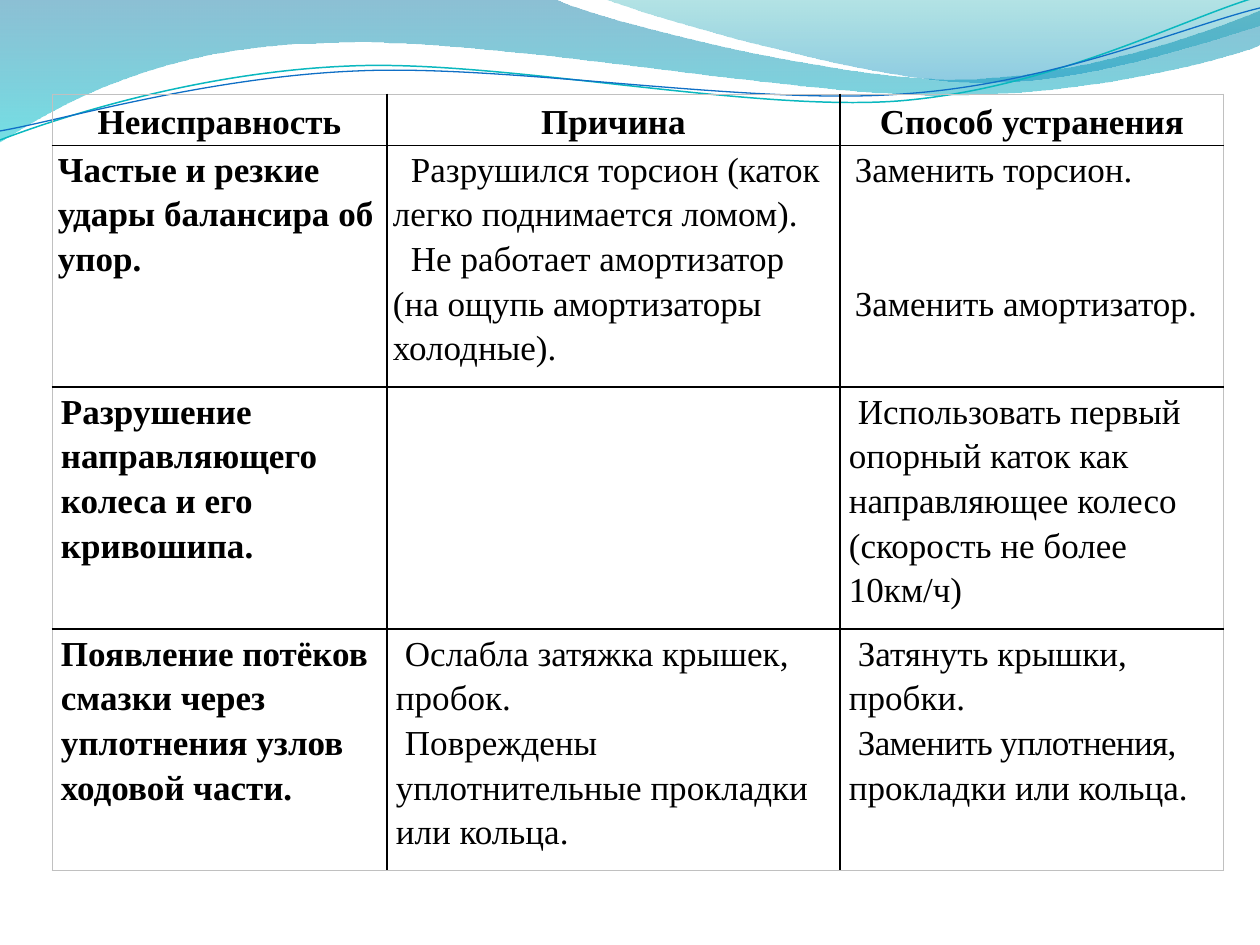
from dataclasses import dataclass
from typing import Any

import pptx
import pptx.dml.color
import pptx.enum.text
import pptx.oxml
import pptx.oxml.ns
import pptx.util
from lxml import etree

SCALE = 914400 / 126
FONT = "Times New Roman"
BLACK, GRAY = "000000", "C0C0C0"
THIN, NORMAL = pptx.util.Pt(0.5), pptx.util.Pt(1)
ALIGN = pptx.enum.text.PP_ALIGN
ANCHOR = pptx.enum.text.MSO_ANCHOR


@dataclass
class Wave:
    """Start point, then pieces: two numbers for a line, six for a Bezier curve."""
    start: tuple[int, int]
    pieces: list[tuple[int, ...]]
    stops: tuple[tuple[str, int], ...] = ()
    line: str = ""
    width: float = 0


@dataclass
class Para:
    text: str
    indent: int = 0
    before: int = 0
    tight: str = ""  # leading part with condensed letters


@dataclass
class Entry:
    paras: list[Para]
    inset: int = 6


WAVES = [
    Wave((0, 0), [(554, -1), (600, 21, 837, 79, 955, 79), (1074, 79, 1207, 33, 1260, 11),
                  (1261, 45), (1239, 55, 1096, 96, 940, 95), (784, 95, 481, 35, 324, 43),
                  (163, 45, 58, 105, -1, 142)], (("0074A1", 45), ("00C6CF", 55))),
    Wave((604, -1), [(641, 14, 859, 78, 969, 82), (1079, 87, 1211, 40, 1260, 26), (1260, 0)],
         (("00A1A9", 30), ("008BBF", 45))),
    Wave((0, 140), [(60, 117, 199, 72, 349, 66), (498, 59, 747, 112, 898, 101),
                    (1050, 89, 1182, 19, 1257, -3)], line="0AB8BF", width=0.85),
    Wave((0, 131), [(59, 121, 207, 77, 357, 71), (508, 64, 752, 106, 903, 94),
                    (1053, 84, 1186, 26, 1260, 8)], line="0F6FC6", width=0.75),
]

COLUMNS = [335, 453, 384]
ROWS = [51, 242, 242, 241]
ENTRIES = [
    [Entry([Para("Неисправность")]), Entry([Para("Причина")]),
     Entry([Para("Способ устранения")])],
    [Entry([Para("Частые и резкие удары балансира об упор.")]),
     Entry([Para("Разрушился торсион (каток легко поднимается ломом).", 18),
            Para("Не работает амортизатор (на ощупь амортизаторы холодные).", 18)]),
     Entry([Para("Заменить торсион.", 9), Para("Заменить амортизатор.", 9, before=90)])],
    [Entry([Para("Разрушение направляющего колеса и его кривошипа.")], 9),
     Entry([], 9),
     Entry([Para("Использовать первый опорный каток как направляющее колесо "
                 "(скорость не более 10км/ч)", 9)], 9)],
    [Entry([Para("Появление потёков смазки через уплотнения узлов ходовой части.")], 9),
     Entry([Para("Ослабла затяжка крышек, пробок.", 9),
            Para("Повреждены уплотнительные прокладки или кольца.", 9)], 9),
     Entry([Para("Затянуть крышки, пробки.", 9),
            Para("прокладки или кольца.", 9, tight="Заменить уплотнения, ")], 9)],
]


def px(value: float) -> pptx.util.Emu:
    return pptx.util.Emu(round(value * SCALE))


def color(value: str) -> pptx.dml.color.RGBColor:
    return pptx.dml.color.RGBColor.from_string(value)


def apply(target: Any, values: dict[str, Any]) -> None:
    for name, value in values.items():
        setattr(target, name, value)


def bend(shape: Any, wave: Wave) -> None:
    """Join each three segments of a curved piece into one Bezier curve."""
    segments = iter(shape._element.spPr.findall(".//" + pptx.oxml.ns.qn("a:lnTo")))
    for piece in wave.pieces:
        group = [next(segments) for _ in range(len(piece) // 2)]
        if len(group) == 3:
            curve = etree.Element(pptx.oxml.ns.qn("a:cubicBezTo"))
            group[0].addprevious(curve)
            for segment in group:
                curve.append(segment[0])
                segment.getparent().remove(segment)


def draw_wave(page: Any, wave: Wave) -> None:
    builder = page.shapes.build_freeform(*wave.start, scale=SCALE)
    points = [point for piece in wave.pieces for point in zip(piece[::2], piece[1::2])]
    builder.add_line_segments(points, close=bool(wave.stops))
    shape = builder.convert_to_shape()
    bend(shape, wave)
    shape.shadow.inherit = False
    if wave.line:
        shape.fill.background()
        shape.line.color.rgb = color(wave.line)
        shape.line.width = pptx.util.Pt(wave.width)
        return
    shape.line.fill.background()
    shape.fill.gradient()
    shape.fill.gradient_angle = 270
    for stop, (tone, _) in zip(shape.fill.gradient_stops, wave.stops):
        stop.color.rgb = color(tone)
    tones = shape._element.spPr.findall(".//" + pptx.oxml.ns.qn("a:srgbClr"))
    for tone, (_, opacity) in zip(tones, wave.stops):
        etree.SubElement(tone, pptx.oxml.ns.qn("a:alpha")).set("val", str(opacity * 1000))


def draw_borders(cell: Any, row: int, column: int) -> None:
    outer = {"L": column == 0, "R": column == len(COLUMNS) - 1,
             "T": row == 0, "B": row == len(ROWS) - 1}
    under_header = {"T": row == 1, "B": row == 0}
    properties = cell._tc.get_or_add_tcPr()
    for index, (side, edge) in enumerate(outer.items()):
        width = THIN if edge or under_header.get(side) else NORMAL
        properties.insert(index, pptx.oxml.parse_xml(
            f'<a:ln{side} {pptx.oxml.ns.nsdecls("a")} w="{int(width)}">'
            f'<a:solidFill><a:srgbClr val="{GRAY if edge else BLACK}"/></a:solidFill>'
            f'<a:prstDash val="solid"/></a:ln{side}>'))


def add_span(para: Any, text: str, bold: bool, tracking: int = 0) -> None:
    span = para.add_run()
    span.text = text
    apply(span.font, {"name": FONT, "size": pptx.util.Pt(20), "bold": bold})
    span.font.color.rgb = color(BLACK)
    if tracking:
        span._r.get_or_add_rPr().set("spc", str(tracking))


def fill_cell(cell: Any, entry: Entry, row: int, column: int) -> None:
    header = row == 0
    apply(cell, {"margin_left": px(entry.inset), "margin_right": px(entry.inset),
                 "margin_top": 0, "margin_bottom": 0,
                 "vertical_anchor": ANCHOR.MIDDLE if header else ANCHOR.TOP})
    cell.fill.background()
    draw_borders(cell, row, column)
    frame = cell.text_frame
    for index, item in enumerate(entry.paras):
        para = frame.add_paragraph() if index else frame.paragraphs[0]
        apply(para, {"alignment": ALIGN.CENTER if header else ALIGN.LEFT,
                     "line_spacing": 1.15, "space_before": px(item.before)})
        para._p.get_or_add_pPr().set("indent", str(int(px(item.indent))))
        bold = header or column == 0
        if item.tight:
            add_span(para, item.tight, bold, -40)
        add_span(para, item.text, bold)


def draw_table(page: Any) -> None:
    table = page.shapes.add_table(len(ROWS), len(COLUMNS), px(52), px(94),
                                  px(sum(COLUMNS)), px(sum(ROWS))).table
    apply(table, {"first_row": False, "horz_banding": False})
    for column, width in enumerate(COLUMNS):
        table.columns[column].width = px(width)
    for row, height in enumerate(ROWS):
        table.rows[row].height = px(height)
        for column, entry in enumerate(ENTRIES[row]):
            fill_cell(table.cell(row, column), entry, row, column)


deck = pptx.Presentation()
apply(deck, {"slide_width": px(1260), "slide_height": px(945)})
page = deck.slides.add_slide(deck.slide_layouts[6])

# Decorative waves along the top
for wave in WAVES:
    draw_wave(page, wave)

# Fault table
draw_table(page)

deck.save("out.pptx")
